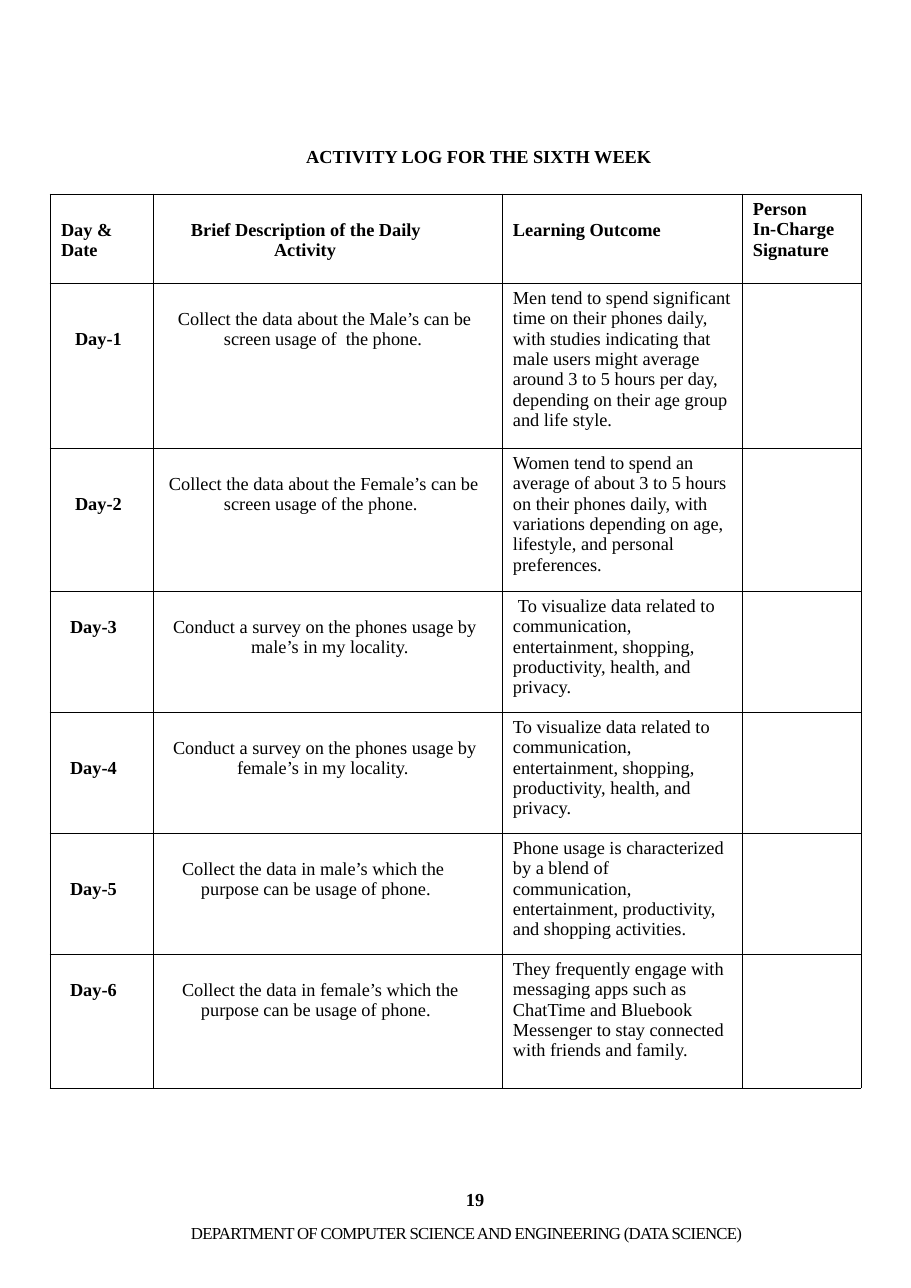
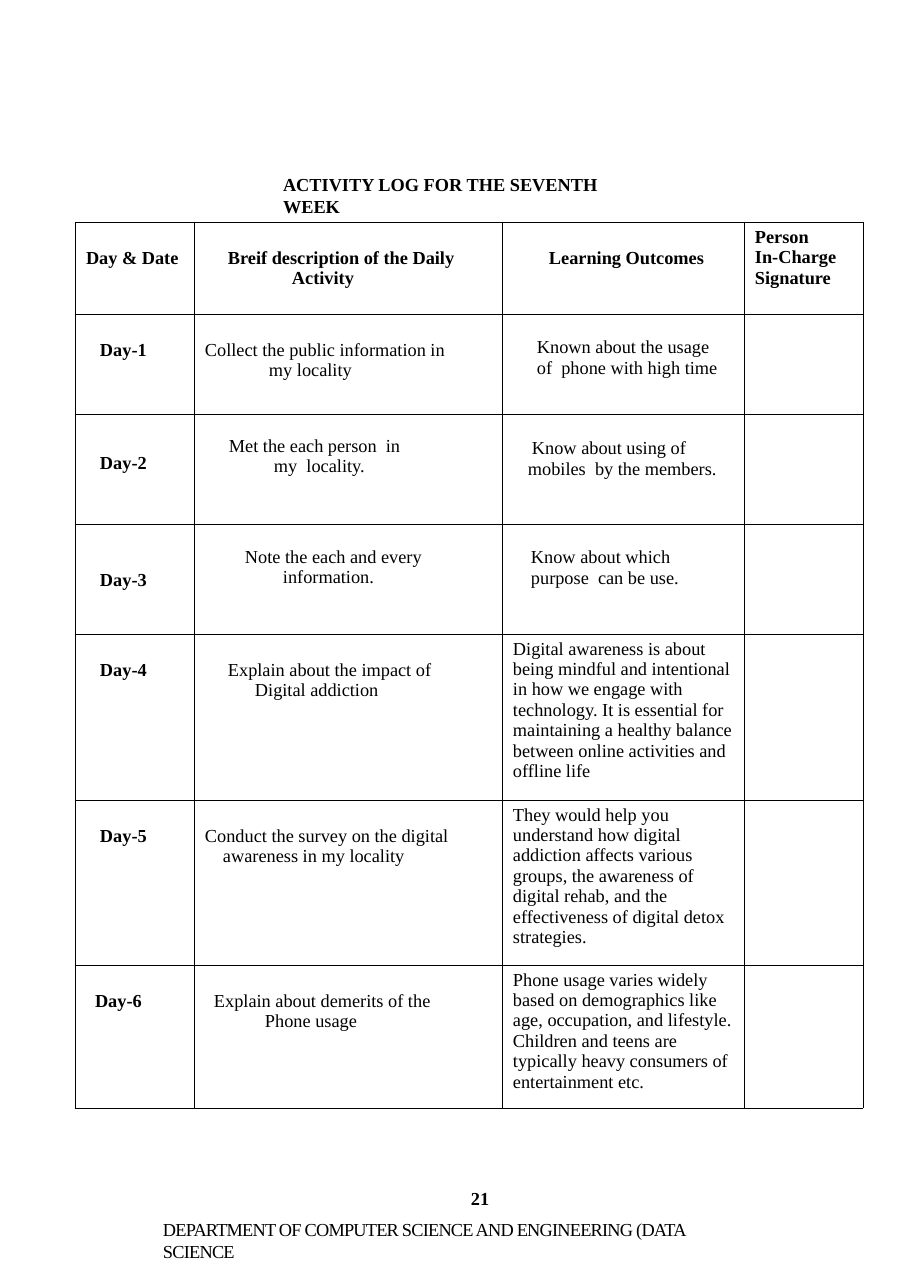
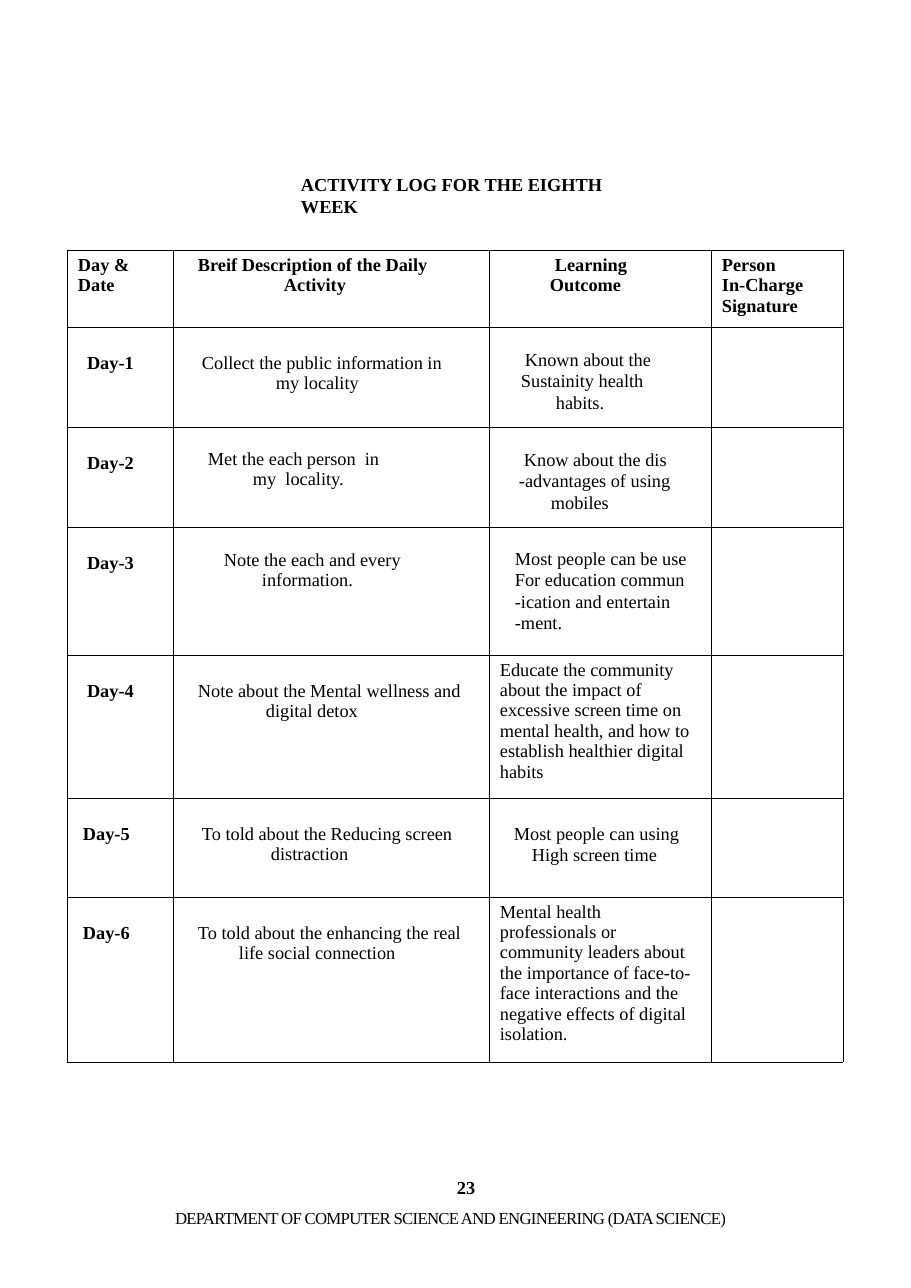
from dataclasses import dataclass

from lxml import etree
from pptx import Presentation
from pptx import util as u
from pptx.dml import color
from pptx.enum import text as t
from pptx.oxml import ns


@dataclass(frozen=True)
class Theme:
    ink: color.RGBColor = color.RGBColor(0, 0, 0)
    font: str = "Times New Roman"
    body: int = 12
    small: int = 11
    pitch: float = 14.4
    rule: float = 0.5
    tight: int = -50


theme = Theme()
scale = 914400 / 110
near, skip, deep = 5, 26, 46
person = (near, (0, "Person"), (0, "In-Charge"), (0, "Signature"))
dept = "DEPARTMENT OF COMPUTER SCIENCE AND ENGINEERING (DATA SCIENCE"
public = "Collect the public information in"
met = (22, (24, "Met the each person  in"), (69, "my  locality."))
note = (23, (40, "Note the each and every"), (78, "information."))
visual = ("To visualize data related to communication, entertainment, shopping, "
          "productivity, health, and privacy.")

weeks = [
    dict(
        title=(80, 145, 798, "ACTIVITY LOG FOR THE SIXTH WEEK"),
        align=t.PP_ALIGN.CENTER,
        page=(466, 1188, "19"),
        foot=(191, 1221, 600, dept + ")", theme.small),
        place=(50, 194),
        cols=(103, 349, 240, 119),
        head=(89, (skip, (0, "Day & Date")),
              (skip, (27, "Brief Description of the Daily"), (110, "Activity")),
              (skip, (0, "Learning Outcome"))),
        days=[
            (165, (deep, 14),
             (skip, (14, "Collect the data about the Male’s can be"),
              (60, "screen usage of  the phone.")),
             (near, (0, "Men tend to spend significant time on their phones daily, "
                     "with studies indicating that male users might average around "
                     "3 to 5 hours per day, depending on their age group and life style."))),
            (143, (deep, 14),
             (skip, (5, "Collect the data about the Female’s can be"),
              (60, "screen usage of the phone.")),
             (near, (0, "Women tend to spend an average of about 3 to 5 hours on their "
                     "phones daily, with variations depending on age, lifestyle, "
                     "and personal preferences."))),
            (121, (skip, 9),
             (skip, (9, "Conduct a survey on the phones usage by"),
              (87, "male’s in my locality.")),
             (near, (5, visual))),
            (121, (deep, 9),
             (skip, (9, "Conduct a survey on the phones usage by"),
              (73, "female’s in my locality.")),
             (near, (0, visual))),
            (121, (deep, 9),
             (skip, (18, "Collect the data in male’s which the"),
              (37, "purpose can be usage of phone.")),
             (near, (0, "Phone usage is characterized by a blend of communication, "
                     "entertainment, productivity, and shopping activities."))),
            (134, (skip, 9),
             (skip, (18, "Collect the data in female’s which the"),
              (37, "purpose can be usage of phone.")),
             (near, (0, "They frequently engage with messaging apps such as ChatTime "
                     "and Bluebook Messenger to stay connected with friends "
                     "and family."))),
        ],
    ),
    dict(
        title=(283, 173, 345, "ACTIVITY LOG FOR THE SEVENTH WEEK"),
        align=t.PP_ALIGN.LEFT,
        page=(471, 1187, "21"),
        foot=(163, 1218, 565, dept, theme.body),
        place=(75, 222),
        cols=(119, 308, 242, 119),
        head=(92, (skip, (0, "Day & Date")),
              (skip, (23, "Breif description of the Daily"), (87, "Activity")),
              (skip, (36, "Learning Outcomes"))),
        days=[
            (100, (skip, 14),
             (skip, (0, public), (64, "my locality")),
             (23, (24, "Known about the usage"), (24, "of  phone with high time"))),
            (110, (39, 14), met,
             (24, (19, "Know about using of"), (15, "mobiles  by the members."))),
            (110, (deep, 14), note,
             (23, (18, "Know about which"), (18, "purpose  can be use."))),
            (166, (skip, 14),
             (skip, (23, "Explain about the impact of"), (50, "Digital addiction")),
             (near, (0, "Digital awareness is about being mindful and intentional in "
                     "how we engage with technology. It is essential for maintaining "
                     "a healthy balance between online activities and offline life"))),
            (165, (skip, 14),
             (skip, (0, "Conduct the survey on the digital"),
              (18, "awareness in my locality")),
             (near, (0, "They would help you understand how digital addiction affects "
                     "various groups, the awareness of digital rehab, and the "
                     "effectiveness of digital detox strategies."))),
            (143, (skip, 9),
             (skip, (9, "Explain about demerits of the"), (60, "Phone usage")),
             (near, (0, "Phone usage varies widely based on demographics like age, "
                     "occupation, and lifestyle. Children and teens are typically "
                     "heavy consumers of entertainment etc."))),
        ],
    ),
    dict(
        title=(301, 173, 335, "ACTIVITY LOG FOR THE EIGHTH WEEK"),
        align=t.PP_ALIGN.LEFT,
        page=(457, 1176, "23"),
        foot=(175, 1206, 600, dept + ")", theme.small),
        place=(67, 250),
        cols=(106, 316, 222, 132),
        head=(77, (near, (0, "Day & Date")),
              (near, (14, "Breif Description of the Daily"), (100, "Activity")),
              (near, (55, "Learning"), (50, "Outcome"))),
        days=[
            (100, (skip, 9),
             (skip, (18, public), (92, "my locality")),
             (23, (25, "Known about the"), (21, "Sustainity health"),
              (56, "habits."))),
            (100, (skip, 9), met,
             (23, (24, "Know about the dis"), (19, "-advantages of using"),
              (51, "mobiles"))),
            (128, (skip, 9), note,
             (22, (15, "Most people can be use"), (15, "For education commun"),
              (15, "-ication and entertain"), (15, "-ment."))),
            (143, (skip, 9),
             (skip, (14, "Note about the Mental wellness and"), (82, "digital detox")),
             (near, (0, "Educate the community about the impact of excessive screen "
                     "time on mental health, and how to establish healthier "
                     "digital habits"))),
            (99, (skip, 5),
             (skip, (18, "To told about the Reducing screen"), (87, "distraction")),
             (skip, (14, "Most people can using"), (32, "High screen time"))),
            (165, (skip, 5),
             (skip, (14, "To told about the enhancing the real"),
              (55, "life social connection")),
             (near, (0, "Mental health professionals or community leaders about the "
                     "importance of face-to-face interactions and the negative "
                     "effects of digital isolation."))),
        ],
    ),
]


def px(n):
    return u.Emu(round(n * scale))


def ink(par, size, bold):
    for run in par.runs:
        run.font.name = theme.font
        run.font.size = u.Pt(size)
        run.font.bold = bold
        run.font.color.rgb = theme.ink


deck = Presentation()
deck.slide_width, deck.slide_height = px(911), px(1288)

for week in weeks:
    slide = deck.slides.add_slide(deck.slide_layouts[5])
    x, y, wide, words = week["title"]
    left, top, page = week["page"]
    side, base, span, dept_line, size = week["foot"]
    labels = [
        (slide.shapes.title, x, y, wide, words, theme.body, True, week["align"]),
        (slide.shapes.add_textbox(0, 0, 0, 0), left, top, 40, page,
         theme.body, True, t.PP_ALIGN.LEFT),
        (slide.shapes.add_textbox(0, 0, 0, 0), side, base, span, dept_line,
         size, False, t.PP_ALIGN.LEFT),
    ]
    for box, x, y, wide, words, size, bold, align in labels:
        box.left, box.top, box.width, box.height = px(x), px(y), px(wide), px(24)
        frame = box.text_frame
        frame.text = words
        frame.word_wrap = True
        frame.auto_size = t.MSO_AUTO_SIZE.NONE
        frame.vertical_anchor = t.MSO_ANCHOR.TOP
        frame.margin_left = frame.margin_right = 0
        frame.margin_top = frame.margin_bottom = 0
        par = frame.paragraphs[0]
        par.alignment = align
        par.line_spacing = u.Pt(theme.pitch)
        ink(par, size, bold)
        if not bold:
            par.runs[0]._r.get_or_add_rPr().set("spc", str(theme.tight))

    rows = [(*week["head"], person)]
    for n, (tall, (drop, inset), task, gain) in enumerate(week["days"], 1):
        rows.append((tall, (drop, (inset, f"Day-{n}")), task, gain, (near,)))

    left, top = week["place"]
    grid = slide.shapes.add_table(
        len(rows), len(week["cols"]), px(left), px(top),
        px(sum(week["cols"])), px(sum(row[0] for row in rows))).table
    grid.first_row = grid.horz_banding = False
    for col, wide in zip(grid.columns, week["cols"]):
        col.width = px(wide)
    for r, (tall, *cells) in enumerate(rows):
        grid.rows[r].height = px(tall)
        for c, (drop, *lines) in enumerate(cells):
            cell = grid.cell(r, c)
            cell.margin_left = cell.margin_right = px(11)
            cell.margin_top, cell.margin_bottom = px(drop), px(5)
            props = cell._tc.get_or_add_tcPr()
            for edge in ("a:lnL", "a:lnR", "a:lnT", "a:lnB"):
                line = etree.SubElement(props, ns.qn(edge), w=str(u.Pt(theme.rule)))
                fill = etree.SubElement(line, ns.qn("a:solidFill"))
                etree.SubElement(fill, ns.qn("a:srgbClr"), val=str(theme.ink))
            cell.fill.background()
            cell.text_frame.text = "\n".join(words for _, words in lines)
            for i, (par, (inset, _)) in enumerate(zip(cell.text_frame.paragraphs, lines)):
                pr = par._p.get_or_add_pPr()
                pr.set("marL", "0")
                pr.set("indent", str(px(inset)))
                if i and r and c == 2:
                    par.space_before = px(1)
                ink(par, theme.body, r == 0 or c == 0)

deck.save("out.pptx")
